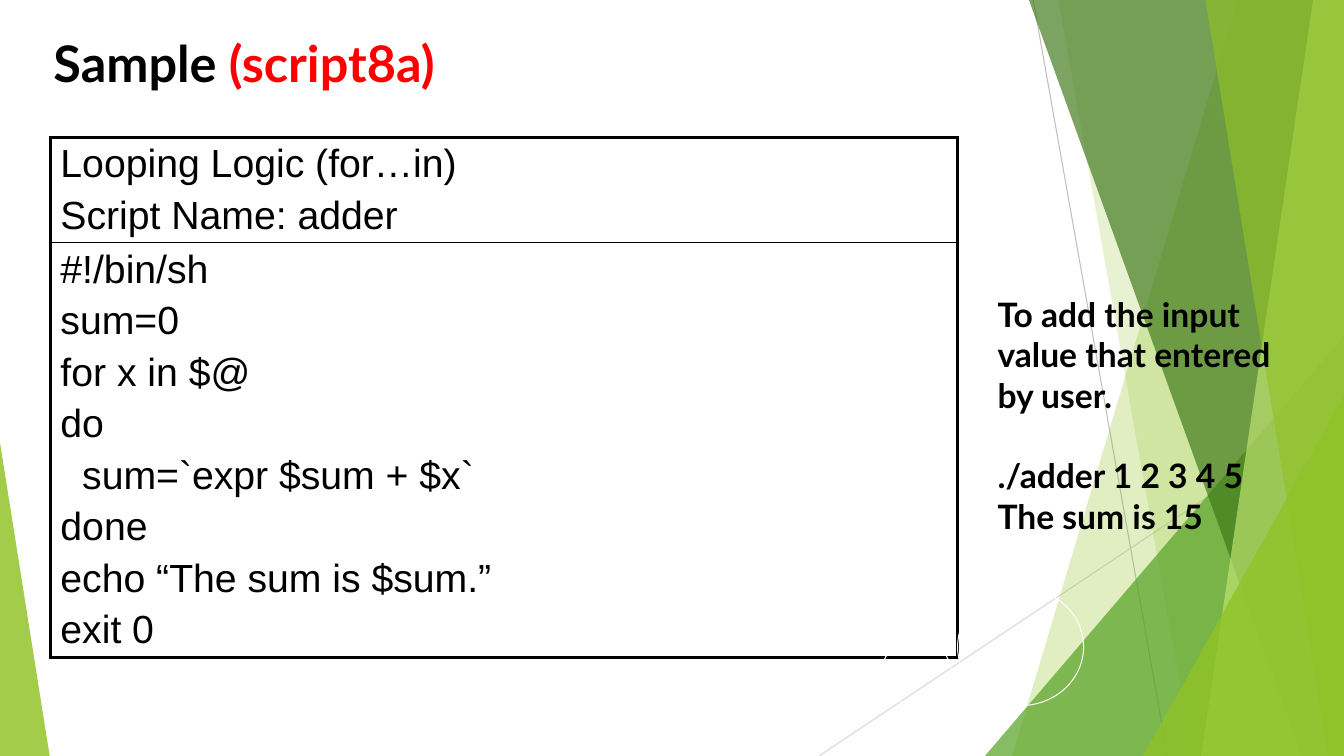
from lxml.etree import SubElement
from pptx import Presentation
from pptx.dml.color import RGBColor
from pptx.enum.shapes import MSO_CONNECTOR, MSO_SHAPE
from pptx.enum.text import MSO_ANCHOR, PP_ALIGN
from pptx.oxml.ns import qn
from pptx.util import Pt

WIDE, HIGH = 960, 540
INK = {
    "black": "000000", "red": "FF0000", "white": "FFFFFF",
    "gray": "BFBFBF", "pale": "D8D8D8", "lime": "90C226",
    "grass": "54A021", "moss": "3F7818", "light": "BFE471",
}


class Board:
    def __init__(self, deck):
        self.slide = deck.slides.add_slide(deck.slide_layouts[5])
        self.shapes = self.slide.shapes
        self.head = "Lato"
        self.code = "Arial"

    def color(self, name):
        return RGBColor.from_string(INK[name])

    def tint(self, shape, name, alpha):
        shape.shadow.inherit = False
        shape.line.fill.background()
        shape.fill.solid()
        shape.fill.fore_color.rgb = self.color(name)
        tone = shape.fill._xPr.find(qn("a:solidFill"))[0]
        SubElement(tone, qn("a:alpha")).set("val", str(alpha * 1000))

    def line(self, start, end, name):
        ends = [Pt(v) for v in (*start, *end)]
        rule = self.shapes.add_connector(MSO_CONNECTOR.STRAIGHT, *ends)
        rule.line.color.rgb = self.color(name)
        rule.line.width = Pt(0.75)
        SubElement(rule._element.spPr, qn("a:effectLst"))

    def leaf(self, top, foot, name, alpha):
        pen = self.shapes.build_freeform(Pt(top), 0)
        spots = [(WIDE, 0), (WIDE, HIGH), (foot, HIGH)]
        pen.add_line_segments([(Pt(x), Pt(y)) for x, y in spots], close=True)
        self.tint(pen.convert_to_shape(), name, alpha)

    def wedge(self, left, top, wide, peak, name, alpha):
        shape = self.shapes.add_shape(
            MSO_SHAPE.ISOSCELES_TRIANGLE, Pt(left), Pt(top), Pt(wide), Pt(HIGH - top))
        shape.adjustments[0] = peak
        self.tint(shape, name, alpha)

    def ring(self, left, top, wide, high):
        shape = self.shapes.add_shape(
            MSO_SHAPE.OVAL, Pt(left), Pt(top), Pt(wide), Pt(high))
        shape.shadow.inherit = False
        shape.fill.background()
        shape.line.color.rgb = self.color("white")
        shape.line.width = Pt(0.75)

    def run(self, para, text, font, size, name="black", bold=False):
        run = para.add_run()
        run.text = text
        run.font.name = font
        run.font.size = Pt(size)
        run.font.bold = bold
        run.font.color.rgb = self.color(name)

    def paras(self, frame, count):
        return [frame.paragraphs[0]] + [frame.add_paragraph() for _ in range(count - 1)]

    def title(self, parts):
        box = self.shapes.title
        box.left, box.top, box.width, box.height = Pt(31), Pt(19.5), Pt(648), Pt(50.5)
        frame = box.text_frame
        frame.word_wrap = True
        frame.vertical_anchor = MSO_ANCHOR.MIDDLE
        para = frame.paragraphs[0]
        para.alignment = PP_ALIGN.LEFT
        for text, name in parts:
            self.run(para, text, self.head, 36, name, True)

    def note(self, left, top, wide, high, rows):
        box = self.shapes.add_textbox(Pt(left), Pt(top), Pt(wide), Pt(high))
        frame = box.text_frame
        frame.word_wrap = True
        for para, (text, gap) in zip(self.paras(frame, len(rows)), rows):
            if gap:
                para.space_before = Pt(gap)
            self.run(para, text, self.head, 24, bold=True)

    def edge(self, cell, widths):
        props = cell._tc.get_or_add_tcPr()
        for side, width in zip("LRTB", widths):
            line = SubElement(props, qn("a:ln" + side), w=str(Pt(width)))
            fill = SubElement(line, qn("a:solidFill"))
            SubElement(fill, qn("a:srgbClr"), val=INK["black"])

    def table(self, left, top, wide, rows):
        high = sum(row[0] for row in rows)
        grid = self.shapes.add_table(
            len(rows), 1, Pt(left), Pt(top), Pt(wide), Pt(high)).table
        grid.first_row = grid.horz_banding = False
        last = len(rows) - 1
        for i, (size, lines) in enumerate(rows):
            grid.rows[i].height = Pt(size)
            cell = grid.cell(i, 0)
            self.edge(cell, (2.25, 2.25, 1 if i else 2.25, 1 if i < last else 2.25))
            cell.fill.background()
            for j, para in enumerate(self.paras(cell.text_frame, len(lines))):
                if j:
                    gap = SubElement(para._p.get_or_add_pPr(), qn("a:spcBef"))
                    SubElement(gap, qn("a:spcPct"), val="20000")
                self.run(para, lines[j], self.code, 28)


def main():
    deck = Presentation()
    deck.slide_width, deck.slide_height = Pt(WIDE), Pt(HIGH)
    board = Board(deck)

    board.line((738, 0), (834, HIGH), "gray")
    board.line((WIDE, 290), (585, HIGH), "pale")
    board.leaf(884, 723, "lime", 28)
    board.leaf(756, 852, "lime", 20)
    board.wedge(703.5, 240, 256.5, 1, "grass", 70)
    board.leaf(735, 930, "moss", 68)
    board.leaf(938, 858, "light", 68)
    board.leaf(861, 949, "lime", 63)
    board.wedge(816.5, 283, 143.5, 1, "lime", 80)
    board.wedge(0, 316, 35.5, 0, "lime", 83)

    board.title([("Sample ", "black"), ("(script8a)", "red")])
    board.table(36, 98, 648, [
        (75, ["Looping Logic (for…in)", "Script Name: adder"]),
        (295, [
            "#!/bin/sh",
            "sum=0",
            "for x in $@",
            "do",
            "  sum=`expr $sum + $x`",
            "done",
            "echo “The sum is $sum.”",
            "exit 0",
        ]),
    ])
    board.ring(684, 420, 90, 84)
    board.ring(630, 456, 49, 48)
    board.ring(594, 474, 30, 30)
    board.note(705.5, 206.5, 231, 181.5, [
        ("To add the input value that entered by user.", 0),
        ("./adder 1 2 3 4 5", 28.8),
        ("The sum is 15", 0),
    ])
    deck.save("out.pptx")


if __name__ == "__main__":
    main()
